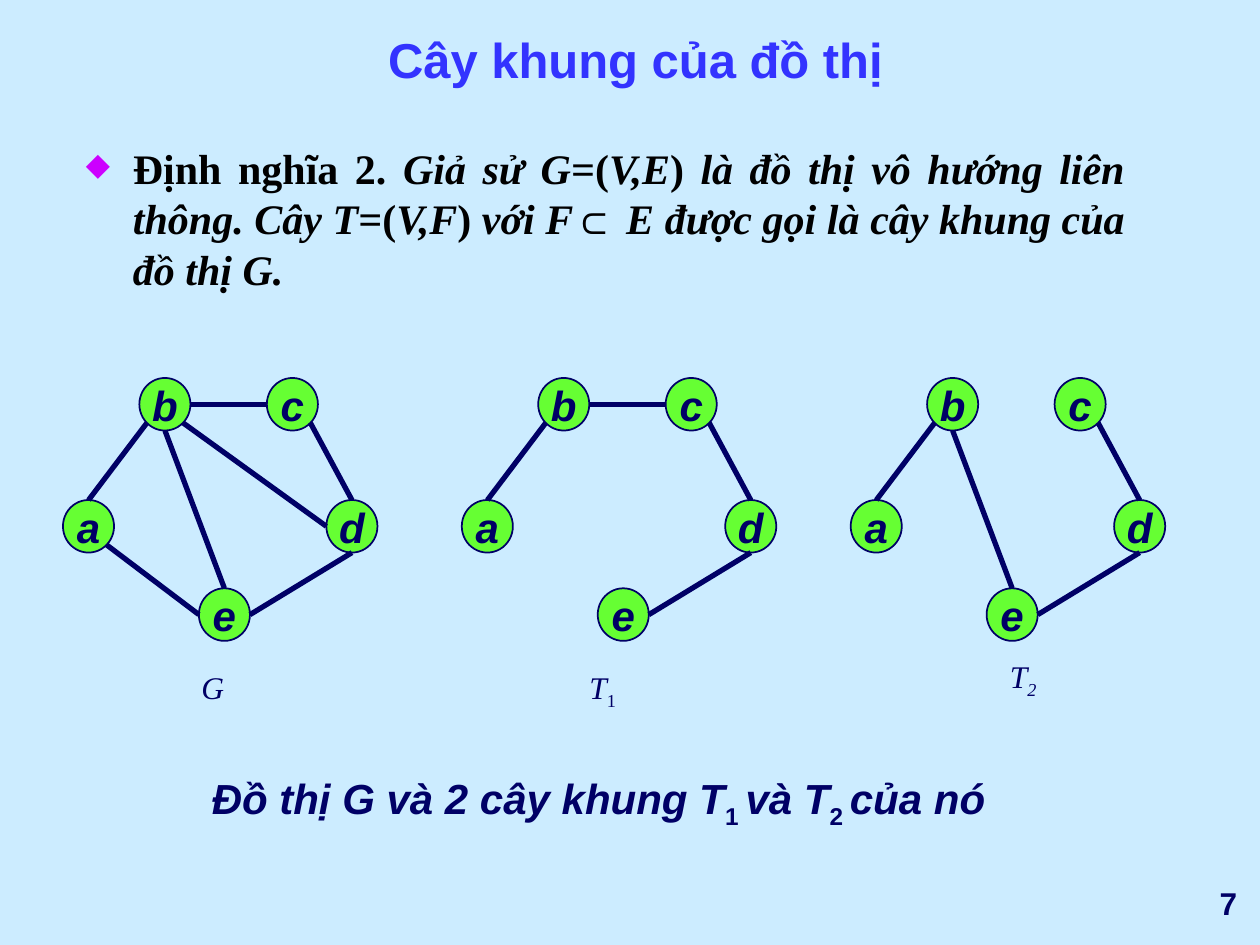
from lxml import etree
from pptx import Presentation
from pptx import util as u
from pptx.dml.color import RGBColor
from pptx.enum import shapes, text
from pptx.oxml.ns import qn

COLORS = {"sky": "CCECFF", "navy": "000066", "title": "3333FF",
          "black": "000000", "bullet": "CC00FF", "node": "66FF33"}
SERIF = "Times New Roman"


def rgb(name):
    return RGBColor.from_string(COLORS[name])


def write(tf, runs, size, color="navy", font="Arial", align=text.PP_ALIGN.LEFT):
    """Fill the first paragraph from (text, marks): b bold, i italic, _ subscript."""
    p = tf.paragraphs[0]
    p.alignment = align
    for content, marks in runs:
        r = p.add_run()
        r.text = content
        r.font.size, r.font.name = u.Pt(size), font
        r.font.bold, r.font.italic = "b" in marks, "i" in marks
        r.font.color.rgb = rgb(color)
        if "_" in marks:
            r.font._element.set("baseline", "-25000")
    return p


prs = Presentation()
prs.slide_width, prs.slide_height = u.Cm(25.4), u.Cm(19.05)
s = prs.slides.add_slide(prs.slide_layouts[6])
s.background.fill.solid()
s.background.fill.fore_color.rgb = rgb("sky")

# Title
tf = s.shapes.add_textbox(u.Cm(1.06), u.Cm(0.85), u.Cm(23.5), u.Cm(1.06)).text_frame
tf.word_wrap = True
tf.vertical_anchor = text.MSO_ANCHOR.BOTTOM
write(tf, [("Cây khung của đồ thị", "b")], 28, "title", align=text.PP_ALIGN.CENTER)

# Definition
tf = s.shapes.add_textbox(u.Cm(1.48), u.Cm(2.75), u.Cm(21.45), u.Cm(14.18)).text_frame
tf.word_wrap = True
definition = [
    ("Định nghĩa 2.", "b"), (" Giả sử G=", "bi"), ("(", "b"), ("V,E", "bi"), (")", "b"),
    (" là đồ thị vô hướng liên thông. Cây T=", "bi"), ("(", "b"), ("V,F", "bi"), (")", "b"),
    (" với F", "bi"), ("⊂", "b"), (" E được gọi là cây khung của đồ thị G.", "bi")]
p = write(tf, definition, 24, "black", SERIF, text.PP_ALIGN.JUSTIFY)
for r in p.runs:
    if r.text == "⊂":
        r.font.name = "Arial"
pPr = p._p.get_or_add_pPr()
pPr.set("marL", str(u.Cm(0.95)))
pPr.set("indent", str(-u.Cm(0.95)))
bullet_color = etree.SubElement(pPr, qn("a:buClr"))
etree.SubElement(bullet_color, qn("a:srgbClr"), val=COLORS["bullet"])
etree.SubElement(pPr, qn("a:buSzPct"), val="75000")
etree.SubElement(pPr, qn("a:buChar"), char="◆")

# Graphs: node offsets from the left of each graph, and tops on the slide
NODE_W, NODE_H = 1.03, 1.06
NODES = {"a": (0, 10.08), "b": (1.54, 7.62), "e": (2.74, 11.86),
         "c": (4.11, 7.62), "d": (5.31, 10.08)}
# Ellipse connection sites run anticlockwise from the top; values are fractions of the size
SITES = [(0.5, 0), (0.15, 0.15), (0, 0.5), (0.15, 0.85),
         (0.5, 1), (0.85, 0.85), (1, 0.5), (0.85, 0.15)]
EDGES = {"ba": (3, 0), "bd": (5, 2), "cb": (2, 6), "cd": (5, 0),
         "de": (4, 6), "ae": (5, 2), "be": (4, 0)}
graphs = [(1.27, list(EDGES)),
          (9.31, ["ba", "cb", "cd", "de"]),
          (17.15, ["ba", "cd", "de", "be"])]

for left, edges in graphs:
    graph = s.shapes.add_group_shape()
    nodes = {}
    for name, (dx, top) in NODES.items():
        sp = graph.shapes.add_shape(shapes.MSO_SHAPE.OVAL, u.Cm(left + dx), u.Cm(top),
                                    u.Cm(NODE_W), u.Cm(NODE_H))
        sp.shadow.inherit = False
        sp.fill.solid()
        sp.fill.fore_color.rgb = rgb("node")
        sp.line.color.rgb = rgb("navy")
        sp.line.width = u.Pt(1)
        sp.text_frame.word_wrap = False
        sp.text_frame.vertical_anchor = text.MSO_ANCHOR.MIDDLE
        write(sp.text_frame, [(name, "bi")], 24, align=text.PP_ALIGN.CENTER)
        nodes[name] = sp
    for edge in edges:
        ends = []
        for name, site in zip(edge, EDGES[edge]):
            dx, top = NODES[name]
            fx, fy = SITES[site]
            ends += [u.Cm(left + dx + fx * NODE_W), u.Cm(top + fy * NODE_H)]
        line = graph.shapes.add_connector(shapes.MSO_CONNECTOR.STRAIGHT, *ends)
        line.begin_connect(nodes[edge[0]], 0)
        line.end_connect(nodes[edge[1]], 0)
        joints = line._element.nvCxnSpPr.cNvCxnSpPr
        joints.stCxn.idx, joints.endCxn.idx = EDGES[edge]
        line.begin_x, line.begin_y, line.end_x, line.end_y = ends
        line.line.color.rgb = rgb("navy")
        line.line.width = u.Pt(3)
        etree.SubElement(line._element.spPr, qn("a:effectLst"))

# Graph labels and caption
caption = [("Đồ thị G và 2 cây khung T", "bi"), ("1 ", "b_"), ("và T", "bi"),
           ("2 ", "b_"), ("của nó", "bi")]
labels = [
    (3.81, 13.34, 1.27, [("G", "i")], 18, SERIF),
    (11.63, 13.34, 1.27, [("T", "i"), ("1", "_")], 18, SERIF),
    (20.11, 13.12, 1.27, [("T", "i"), ("2", "i_")], 18, SERIF),
    (4.02, 15.45, 16.72, caption, 24, "Arial")]
for x, y, width, runs, size, font in labels:
    tf = s.shapes.add_textbox(u.Cm(x), u.Cm(y), u.Cm(width), u.Cm(1.1)).text_frame
    tf.word_wrap = True
    write(tf, runs, size, font=font)

# Page number
tf = s.shapes.add_textbox(u.Cm(20.32), u.Cm(17.57), u.Cm(4.87), u.Cm(1.27)).text_frame
tf.word_wrap = False
tf.vertical_anchor = text.MSO_ANCHOR.MIDDLE
write(tf, [("7", "b")], 18, align=text.PP_ALIGN.RIGHT)

prs.save("out.pptx")
